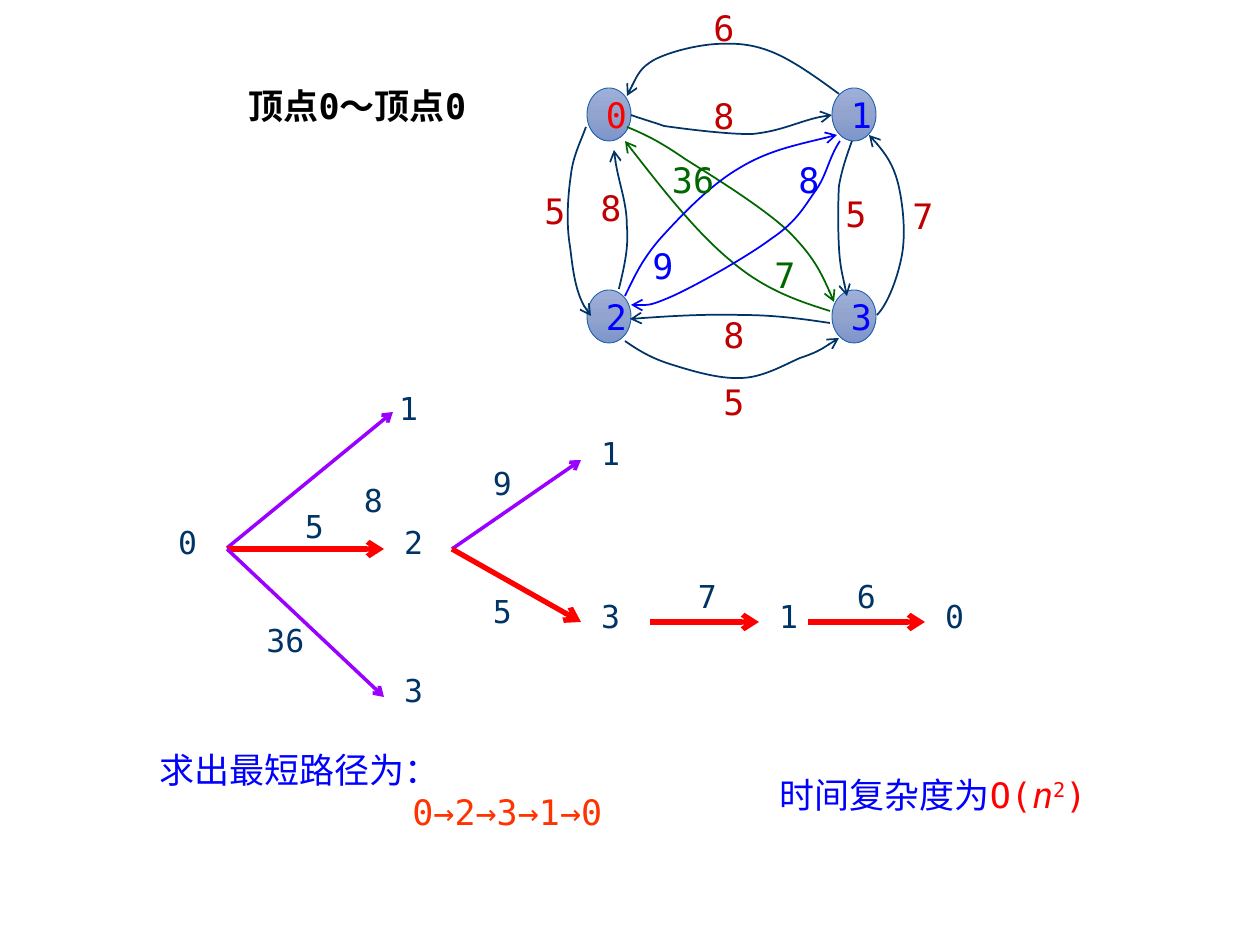
from pptx import Presentation
from pptx.dml.color import RGBColor
from pptx.enum.shapes import MSO_CONNECTOR, MSO_SHAPE
from pptx.enum.text import MSO_ANCHOR, MSO_AUTO_SIZE, PP_ALIGN
from pptx.oxml.ns import qn
from pptx.util import Emu, Pt
from copy import deepcopy
from lxml.etree import SubElement

SCALE = 914400 / 126
FONT = "DejaVu Sans Mono"
BLACK = RGBColor(0x00, 0x00, 0x00)
NAVY = RGBColor(0x00, 0x33, 0x66)
BLUE = RGBColor(0x00, 0x00, 0xFF)
RED = RGBColor(0xFF, 0x00, 0x00)
ORANGE = RGBColor(0xFF, 0x33, 0x00)
CRIMSON = RGBColor(0xC0, 0x00, 0x00)
GREEN = RGBColor(0x00, 0x66, 0x00)
PURPLE = RGBColor(0x99, 0x00, 0xFF)
VERTEX_LINE = RGBColor(0x1F, 0x63, 0xAD)
VERTEX_FILL = (RGBColor(0x9E, 0xB0, 0xD9), RGBColor(0x92, 0xA4, 0xCE), RGBColor(0x7D, 0x95, 0xCB))

VERTICES = [("0", 587, 88, RED), ("2", 587, 290, BLUE), ("1", 832, 88, BLUE), ("3", 832, 290, BLUE)]

EDGES = [
    (NAVY, [(586, 127), (581, 141), (573, 156), (571, 175), (568, 195), (566, 223), (570, 246),
            (573, 270), (576, 299), (591, 316)]),
    (NAVY, [(619, 289), (624, 268), (629, 248), (627, 226), (627, 203), (617, 179), (614, 150)]),
    (NAVY, [(839, 94), (816, 77), (792, 60), (772, 52), (752, 44), (736, 43), (717, 44),
            (697, 45), (669, 52), (654, 60), (640, 68), (634, 82), (627, 96)]),
    (NAVY, [(631, 115), (642, 119), (653, 122), (664, 126), (664, 126), (726, 135), (753, 134),
            (782, 131), (805, 118), (832, 115)]),
    (NAVY, [(877, 315), (888, 304), (898, 277), (902, 255), (906, 233), (903, 203), (898, 183),
            (893, 164), (881, 147), (869, 135)]),
    (NAVY, [(852, 141), (847, 155), (842, 169), (839, 186), (838, 204), (838, 229), (839, 247),
            (840, 266), (844, 281), (847, 296)]),
    (NAVY, [(625, 341), (638, 350), (651, 358), (670, 364), (689, 370), (718, 379), (740, 378),
            (762, 378), (784, 365), (800, 358), (818, 352), (828, 345), (839, 338)]),
    (NAVY, [(830, 323), (803, 319), (775, 315), (742, 315), (708, 314), (669, 316), (630, 319)]),
    (GREEN, [(627, 127), (644, 134), (659, 141), (685, 159), (712, 176), (764, 208), (789, 232),
             (813, 256), (824, 278), (834, 302)]),
    (GREEN, [(830, 311), (798, 301), (765, 290), (731, 261), (697, 233), (660, 186), (625, 141)]),
    (BLUE, [(625, 296), (634, 278), (641, 261), (660, 239), (679, 218), (709, 186), (738, 169),
            (767, 151), (801, 144), (837, 135)]),
    (BLUE, [(840, 141), (828, 159), (827, 176), (814, 193), (803, 209), (795, 223), (771, 239),
            (747, 257), (697, 285), (673, 296), (650, 306), (640, 306), (631, 305)]),
]

WEIGHTS = [
    ("6", 701, 0, CRIMSON), ("8", 701, 88, CRIMSON), ("5", 532, 183, CRIMSON),
    ("8", 588, 180, CRIMSON), ("5", 711, 374, CRIMSON), ("8", 711, 307, CRIMSON),
    ("7", 900, 188, CRIMSON), ("5", 833, 186, CRIMSON), ("8", 786, 152, BLUE),
    ("9", 640, 238, BLUE), ("7", 762, 247, GREEN),
]

TREE_NODES = [("0", 158, 517), ("1", 379, 383), ("2", 384, 517), ("3", 384, 665),
              ("1", 581, 428), ("3", 581, 591), ("1", 759, 591), ("0", 925, 591)]

TREE_COSTS = [("8", 354, 481), ("5", 295, 507), ("36", 266, 621), ("9", 483, 464),
              ("5", 483, 592), ("7", 688, 577), ("6", 847, 577)]

TREE_BRANCHES = [
    (227, 548, 393, 412, False), (227, 549, 384, 549, True), (227, 549, 384, 697, False),
    (452, 549, 581, 460, False), (452, 549, 581, 622, True),
    (650, 622, 759, 622, True), (808, 622, 925, 622, True),
]


def px(length):
    return Emu(round(length * SCALE))


def write(paragraph, text, size=20, color=BLACK, bold=False, italic=False, baseline=None):
    run = paragraph.add_run()
    run.text = text
    font = run.font
    font.name, font.size, font.bold, font.italic = FONT, Pt(size), bold, italic
    font.color.rgb = color
    properties = run._r.get_or_add_rPr()
    SubElement(properties, qn("a:ea")).set("typeface", FONT)
    if baseline:
        properties.set("baseline", str(baseline))


def add_text(slide, text, left, top, width, height, align=PP_ALIGN.LEFT, inset=True, **style):
    shape = slide.shapes.add_textbox(px(left), px(top), px(width), px(height))
    frame = shape.text_frame
    frame.word_wrap = True
    if not inset:
        frame.margin_left = frame.margin_right = frame.margin_top = frame.margin_bottom = 0
    paragraph = frame.paragraphs[0]
    paragraph.alignment = align
    write(paragraph, text, **style)
    return frame


def format_line(shape, color, width):
    shape.line.color.rgb = color
    shape.line.width = Pt(width)
    SubElement(shape.line._get_or_add_ln(), qn("a:tailEnd")).set("type", "arrow")


def add_arrow(slide, start_x, start_y, end_x, end_y, color, width):
    connector = slide.shapes.add_connector(
        MSO_CONNECTOR.STRAIGHT, px(start_x), px(start_y), px(end_x), px(end_y))
    format_line(connector, color, width)
    SubElement(connector._element.spPr, qn("a:effectLst"))


def add_curve(slide, points, color):
    builder = slide.shapes.build_freeform(*points[0], scale=SCALE)
    builder.add_line_segments(points[1:], close=False)
    shape = builder.convert_to_shape()
    segments = list(shape._element.iter(qn("a:lnTo")))
    for first in range(0, len(segments), 3):
        curve = SubElement(segments[first].getparent(), qn("a:cubicBezTo"))
        for segment in segments[first:first + 3]:
            curve.append(segment[0])
            segment.getparent().remove(segment)
    shape.fill.background()
    shape.shadow.inherit = False
    format_line(shape, color, 1)


def add_vertex(slide, label, left, top, color):
    shape = slide.shapes.add_shape(MSO_SHAPE.OVAL, px(left), px(top), px(44), px(53))
    shape.shadow.inherit = False
    shape.fill.gradient()
    shape.fill.gradient_angle = 270
    first = next(shape._element.spPr.iter(qn("a:gs")))
    middle = deepcopy(first)
    middle.set("pos", "50000")
    first.addnext(middle)
    for stop, stop_color in zip(shape.fill.gradient_stops, VERTEX_FILL):
        stop.color.rgb = stop_color
    shape.line.color.rgb = VERTEX_LINE
    shape.line.width = Pt(0.5)
    frame = shape.text_frame
    frame.vertical_anchor = MSO_ANCHOR.MIDDLE
    frame.paragraphs[0].alignment = PP_ALIGN.CENTER
    write(frame.paragraphs[0], label, color=color)


def set_title(slide, text, left, top, width, height):
    title = slide.shapes.title
    title.left, title.top, title.width, title.height = map(px, (left, top, width, height))
    frame = title.text_frame
    frame.word_wrap = True
    frame.auto_size = MSO_AUTO_SIZE.NONE
    frame.vertical_anchor = MSO_ANCHOR.TOP
    frame.paragraphs[0].alignment = PP_ALIGN.LEFT
    write(frame.paragraphs[0], text, bold=True)


def add_search_tree(slide):
    for label, left, top in TREE_NODES:
        add_text(slide, label, left, top, 59, 63, align=PP_ALIGN.CENTER, size=18, color=NAVY)
    for *ends, chosen in TREE_BRANCHES:
        add_arrow(slide, *ends, RED if chosen else PURPLE, 3 if chosen else 2)
    for cost, left, top in TREE_COSTS:
        add_text(slide, cost, left, top, 39, 38, align=PP_ALIGN.CENTER, inset=False,
                 size=18, color=NAVY)


def add_graph(slide):
    for vertex in VERTICES:
        add_vertex(slide, *vertex)
    for color, points in EDGES:
        add_curve(slide, points, color)
    for weight, left, top, color in WEIGHTS:
        add_text(slide, weight, left, top, 35, 55, color=color)
    add_text(slide, "36", 672, 158, 48, 43, inset=False, color=GREEN)


def add_results(slide):
    frame = add_text(slide, "求出最短路径为：", 147, 742, 542, 97, color=BLUE)
    route = frame.add_paragraph()
    route._p.get_or_add_pPr().set("marL", str(px(253)))
    write(route, "0→2→3→1→0", color=ORANGE)
    complexity = add_text(slide, "时间复杂度为", 767, 767, 444, 55, color=BLUE).paragraphs[0]
    write(complexity, "O(", color=RED)
    write(complexity, "n", color=RED, italic=True)
    write(complexity, "2", color=RED, baseline=30000)
    write(complexity, ")", color=RED)


def main():
    presentation = Presentation()
    presentation.slide_width, presentation.slide_height = px(1260), px(945)
    slide = presentation.slides.add_slide(presentation.slide_layouts[5])
    set_title(slide, "顶点0～顶点0", 236, 78, 315, 55)
    add_search_tree(slide)
    add_results(slide)
    add_graph(slide)
    presentation.save("out.pptx")


main()
